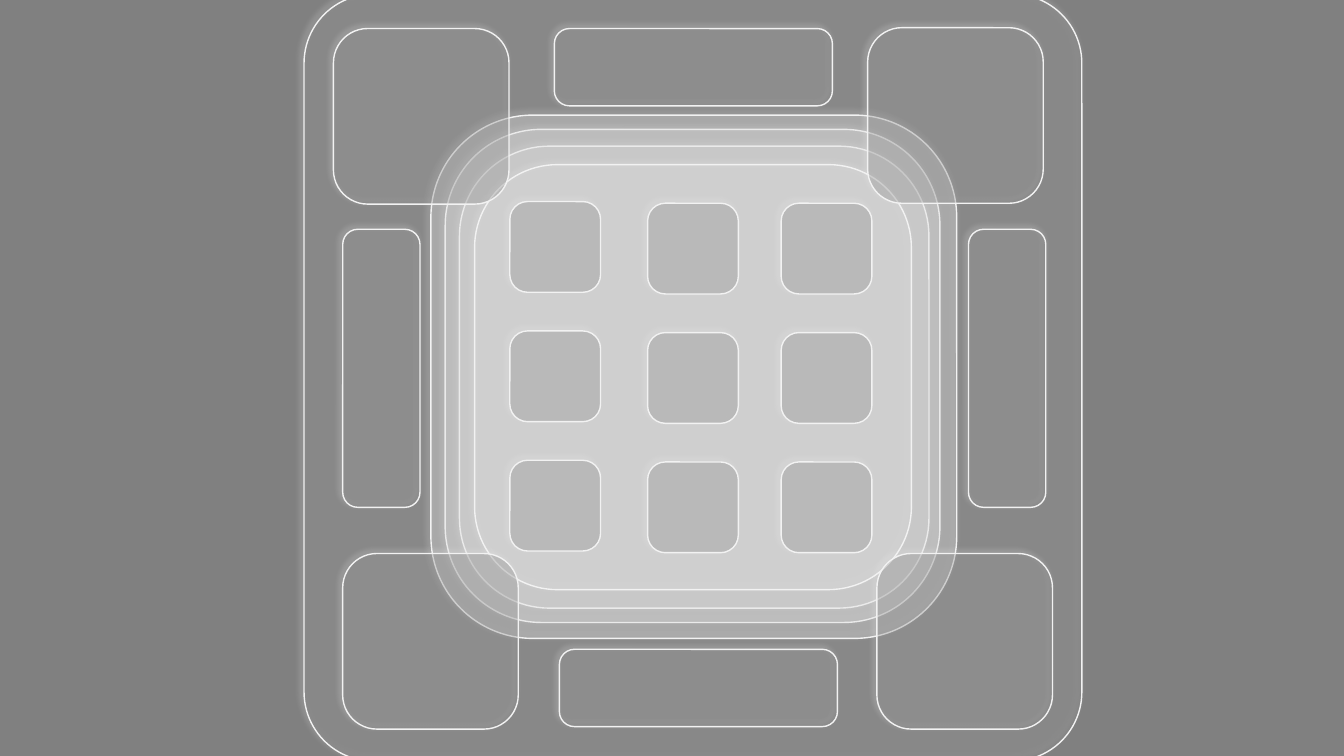
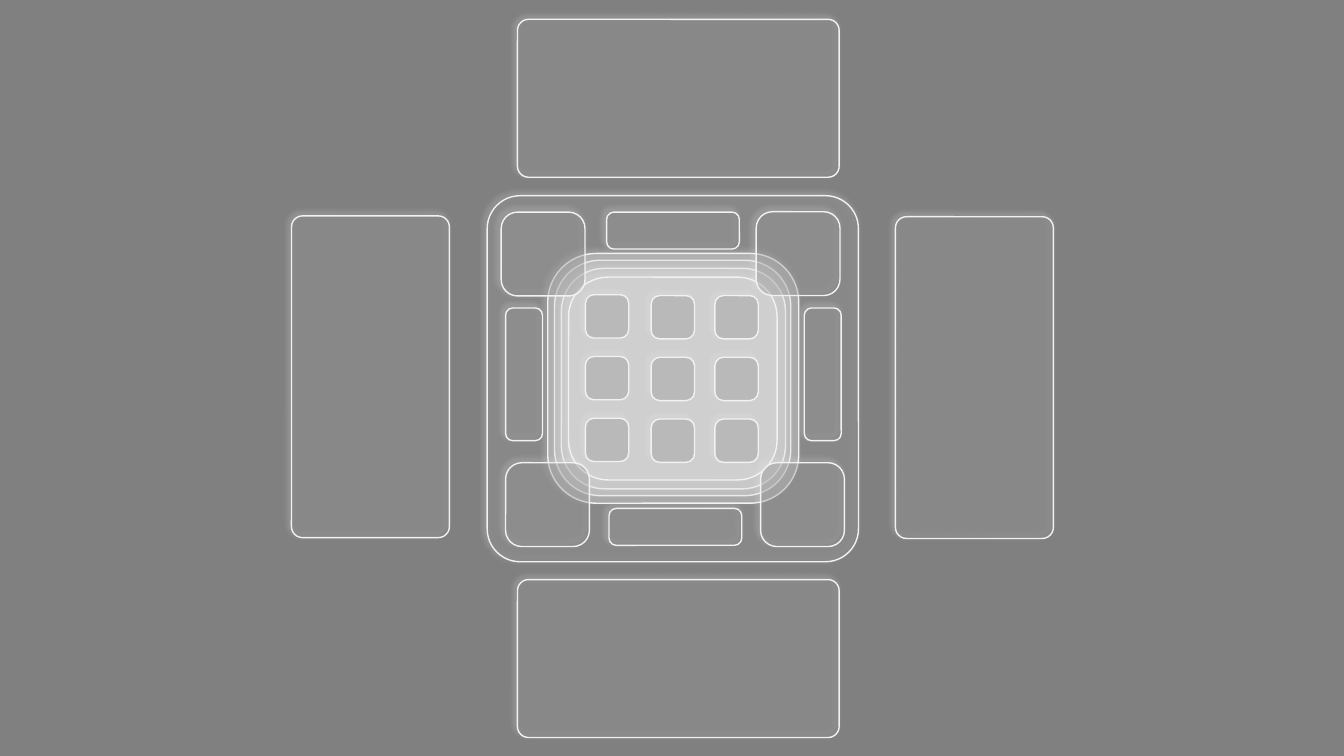
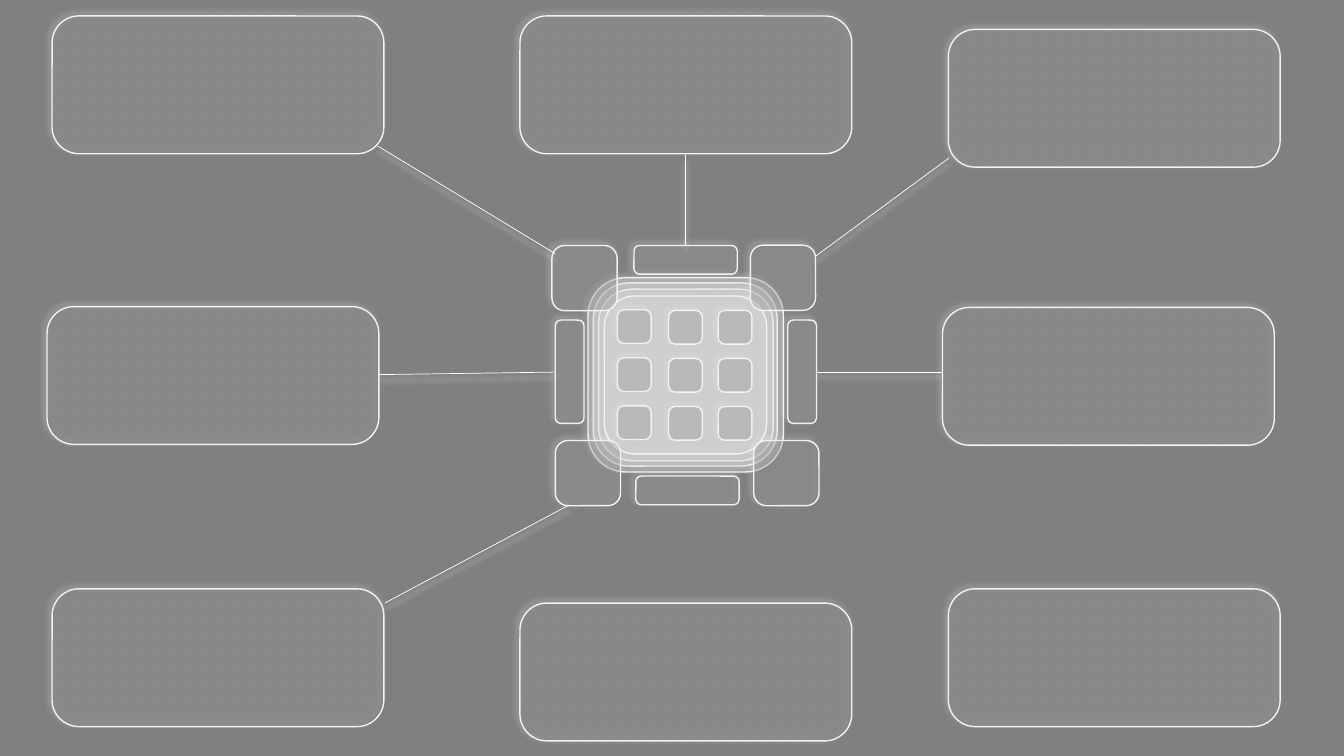
import dataclasses
import typing

import pptx
import pptx.dml.color
import pptx.enum.shapes
import pptx.oxml
import pptx.oxml.ns
import pptx.util


# Theme and grid: 160 by 90 square cells cover the slide
@dataclasses.dataclass(frozen=True)
class Shadow:
    opacity: int
    blur: float
    distance: float
    direction: int


@dataclasses.dataclass(frozen=True)
class Theme:
    background: str = "808080"
    glass: str = "808080"
    frost: str = "D9D9D9"
    outline: str = "F2F2F2"
    link: str = "FFFFFF"
    glow: str = "F2F2F2"
    fill_opacity: int = 30
    outline_width: float = 1
    link_width: float = 0.5
    box_shadow: Shadow = Shadow(40, 4, 3, 225)
    link_shadow: Shadow = Shadow(100, 4, 4, 90)
    slim_corner: float = 0.07
    panel_corner: float = 0.09
    round_corner: float = 0.195


THEME = Theme()
COLUMNS, ROWS = 160, 90
CELL = pptx.util.Inches(7.5) // ROWS


class Box(typing.NamedTuple):
    column: float
    row: float
    width: float
    height: float
    color: str = THEME.glass
    corner: float = THEME.round_corner


class Link(typing.NamedTuple):
    from_column: float
    from_row: float
    to_column: float
    to_row: float


class Emblem(typing.NamedTuple):
    column: float
    row: float
    width: float
    has_panel: bool = True


@dataclasses.dataclass(frozen=True)
class Page:
    emblem: Emblem
    cards: tuple[Box, ...] = ()
    links: tuple[Link, ...] = ()


# Emblem parts at full size, measured from the panel's corner
PANEL = Box(0, 0, 92.6, 91.3, corner=THEME.panel_corner)
RINGS = [
    Box(*place, color=THEME.frost)
    for place in (
        (16.8, 16.1, 58.9, 58.7),
        (18.5, 18.1, 55.9, 55),
        (15.1, 14.4, 62.6, 62.3),
        (20.3, 20.3, 52, 50.6),
    )
]
BAR_LONG, BAR_SHORT, CORNER_SIDE, TILE_SIDE = 33.1, 9.2, 20.9, 10.8
SIDE_BARS = [Box(column, 28, BAR_SHORT, BAR_LONG) for column in (4.6, 79.1)]
END_BARS = [Box(column, row, BAR_LONG, BAR_SHORT)
            for column, row in ((29.8, 4.1), (30.4, 78))]
CORNERS = [Box(column, row, CORNER_SIDE, CORNER_SIDE)
           for column, row in ((3.5, 4.1), (67.1, 4), (4.6, 66.6), (68.2, 66.6))]
TILES = [
    Box(column, 24.7 + 15.4 * index + drop, TILE_SIDE, TILE_SIDE)
    for index in range(3)
    for column, drop in ((24.5, 0), (40.9, 0.2), (56.8, 0.2))
]
EMBLEM_PARTS = [*RINGS, *SIDE_BARS, *TILES, *END_BARS, *CORNERS]

# Slides
PAGES = (
    Page(Emblem(36.2, -0.7, 92.6)),
    Page(
        Emblem(58, 23.3, 44.2),
        cards=tuple(
            Box(*place, corner=THEME.slim_corner)
            for place in (
                (106.6, 25.8, 18.8, 38.3),
                (61.6, 69, 38.3, 18.8),
                (61.6, 2.3, 38.3, 18.8),
                (34.7, 25.7, 18.8, 38.3),
            )
        ),
    ),
    Page(
        Emblem(64.4, 27.7, 34.4, has_panel=False),
        cards=tuple(
            Box(column, row, 39.5, 16.4)
            for column, row in (
                (61.9, 1.9), (6.2, 1.9), (5.6, 36.5), (6.2, 70.1),
                (112.9, 70.1), (112.2, 36.6), (61.9, 71.8), (112.9, 3.5),
            )
        ),
        links=(
            Link(45.8, 71.8, 67.8, 60.1),
            Link(45.1, 44.6, 66.1, 44.3),
            Link(45, 17.4, 66.1, 30.2),
            Link(81.6, 18.4, 81.6, 29.2),
            Link(113, 18.8, 97.1, 30.5),
            Link(97.2, 44.3, 112.2, 44.3),
        ),
    ),
)


def cells(*counts: float) -> list[int]:
    return [round(count * CELL) for count in counts]


def rgb(color: str) -> pptx.dml.color.RGBColor:
    return pptx.dml.color.RGBColor.from_string(color)


def set_line(line: typing.Any, color: str, width: float) -> None:
    line.fill.solid()
    formats = {line.color: {"rgb": rgb(color)},
               line: {"width": pptx.util.Pt(width)}}
    for target, values in formats.items():
        for name, value in values.items():
            setattr(target, name, value)


def add_shadow(shape: typing.Any, shadow: Shadow) -> None:
    """Replace the inherited shadow with a soft glow."""
    properties = shape._element.spPr
    for effects in properties.findall(pptx.oxml.ns.qn("a:effectLst")):
        properties.remove(effects)
    properties.append(pptx.oxml.parse_xml(
        f'<a:effectLst {pptx.oxml.ns.nsdecls("a")}>'
        f'<a:outerShdw blurRad="{pptx.util.Pt(shadow.blur)}" '
        f'dist="{pptx.util.Pt(shadow.distance)}" '
        f'dir="{shadow.direction * 60000}" algn="ctr" rotWithShape="0">'
        f'<a:srgbClr val="{THEME.glow}"><a:alpha val="{shadow.opacity * 1000}"/>'
        '</a:srgbClr></a:outerShdw></a:effectLst>'
    ))


def add_box(shapes: typing.Any, box: Box) -> None:
    shape = shapes.add_shape(
        pptx.enum.shapes.MSO_SHAPE.ROUNDED_RECTANGLE,
        *cells(box.column, box.row, box.width, box.height),
    )
    shape.adjustments[0] = box.corner
    shape.fill.solid()
    shape.fill.fore_color.rgb = rgb(box.color)
    color = shape._element.spPr.find(
        f'{pptx.oxml.ns.qn("a:solidFill")}/{pptx.oxml.ns.qn("a:srgbClr")}')
    color.append(pptx.oxml.parse_xml(
        f'<a:alpha {pptx.oxml.ns.nsdecls("a")} val="{THEME.fill_opacity * 1000}"/>'))
    set_line(shape.line, THEME.outline, THEME.outline_width)
    add_shadow(shape, THEME.box_shadow)


def add_link(shapes: typing.Any, link: Link) -> None:
    connector = shapes.add_connector(
        pptx.enum.shapes.MSO_CONNECTOR.STRAIGHT, *cells(*link))
    set_line(connector.line, THEME.link, THEME.link_width)
    add_shadow(connector, THEME.link_shadow)


def add_emblem(shapes: typing.Any, emblem: Emblem) -> None:
    """Draw the emblem as one group, scaled to the given panel width."""
    group = shapes.add_group_shape()
    scale = emblem.width / PANEL.width
    for part in [PANEL] * emblem.has_panel + EMBLEM_PARTS:
        add_box(group.shapes, part._replace(
            column=emblem.column + part.column * scale,
            row=emblem.row + part.row * scale,
            width=part.width * scale,
            height=part.height * scale,
        ))


def main() -> None:
    presentation = pptx.Presentation()
    presentation.slide_width, presentation.slide_height = cells(COLUMNS, ROWS)
    background = presentation.slide_master.background.fill
    background.solid()
    background.fore_color.rgb = rgb(THEME.background)
    blank_layout = presentation.slide_layouts.get_by_name("Blank")
    for page in PAGES:
        shapes = presentation.slides.add_slide(blank_layout).shapes
        add_emblem(shapes, page.emblem)
        for card in page.cards:
            add_box(shapes, card)
        for link in page.links:
            add_link(shapes, link)
    presentation.save("out.pptx")


if __name__ == "__main__":
    main()
